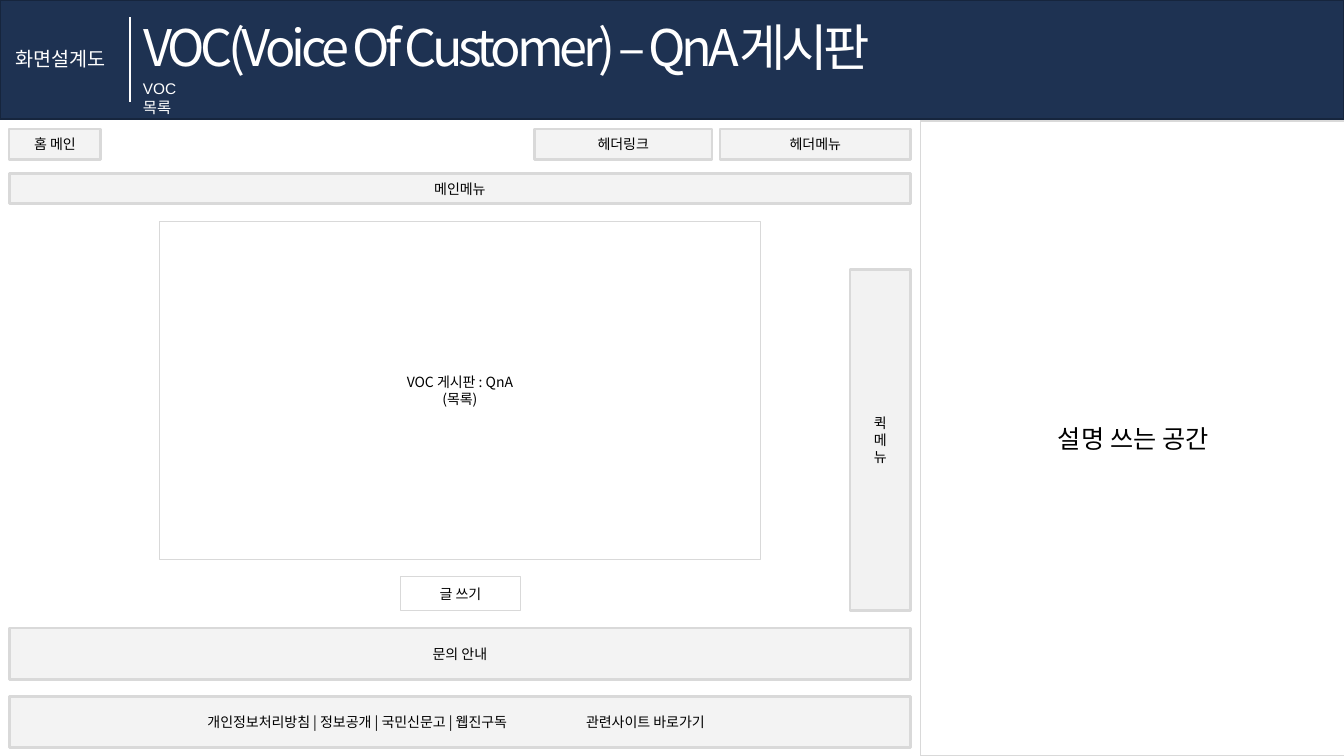
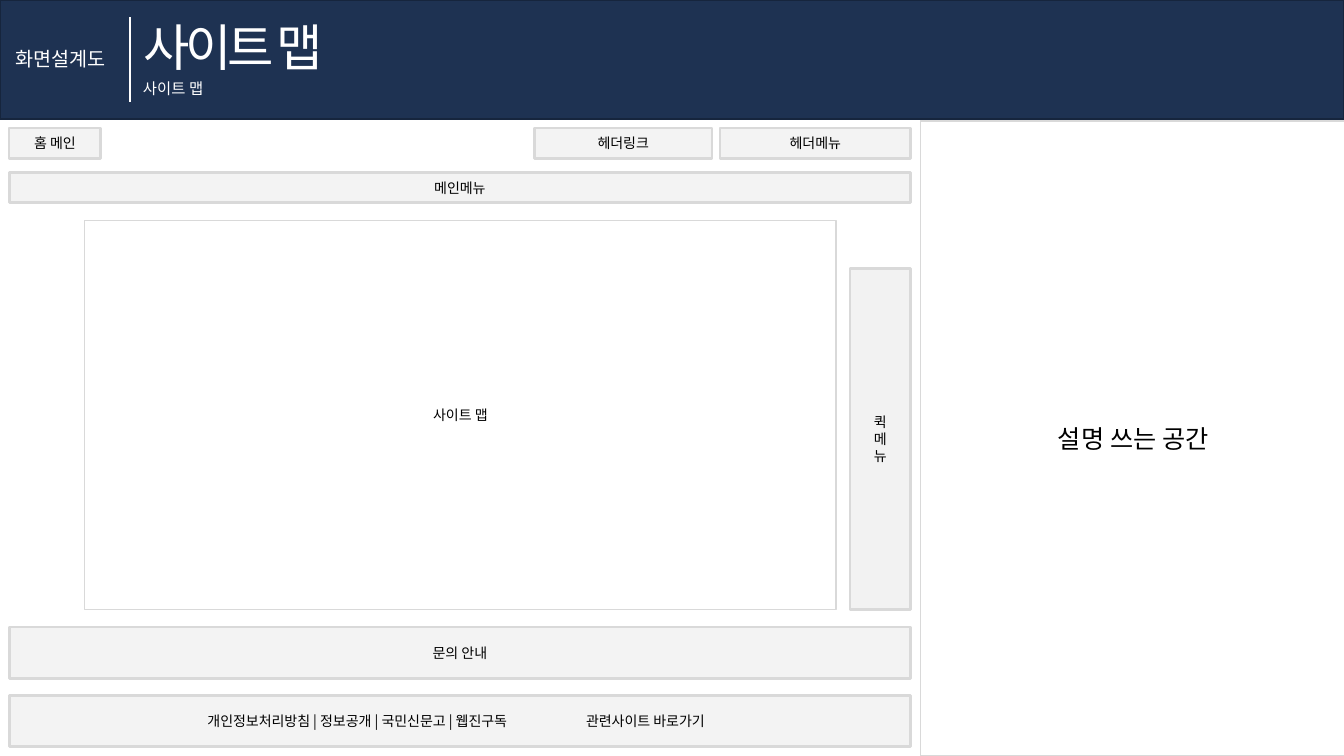
from lxml.etree import SubElement
from pptx import Presentation
from pptx.dml.color import RGBColor
from pptx.enum.shapes import MSO_CONNECTOR, MSO_SHAPE
from pptx.enum.text import MSO_ANCHOR, MSO_AUTO_SIZE, PP_ALIGN
from pptx.oxml.ns import qn
from pptx.util import Inches, Pt

WIDE, HIGH = Inches(13.33), Inches(7.5)
KOR, LATIN = "Noto Sans CJK KR", "Arial"
NAVY, EDGE, WHITE, BLACK = "1E3252", "16253D", "FFFFFF", "000000"
GRAY, DARK = "D9D9D9", "BFBFBF"


def color(code):
    return RGBColor.from_string(code)


def part(box, x, y, w, h):
    """Turn percent shares of a box into a box on the slide."""
    left, top, wide, high = box
    return (int(left + wide * x / 100), int(top + high * y / 100),
            int(wide * w / 100), int(high * h / 100))


FULL = (0, 0, WIDE, HIGH)
HEAD = part(FULL, 0, 0, 100, 15.73)
SIDE = part(FULL, 68.49, 16, 31.66, 84)


def write(shape, text, size=10, font=KOR, ink=BLACK, align=PP_ALIGN.CENTER,
          anchor=MSO_ANCHOR.MIDDLE, track=0, inset=None, tab=None):
    frame = shape.text_frame
    frame.word_wrap = True
    frame.auto_size = MSO_AUTO_SIZE.NONE
    frame.vertical_anchor = anchor
    if inset is not None:
        frame.margin_left = inset
    frame.text = text
    for para in frame.paragraphs:
        para.alignment = align
        if tab:
            stops = SubElement(para._p.get_or_add_pPr(), qn("a:tabLst"))
            SubElement(stops, qn("a:tab"), pos=str(tab), algn="l")
        for run in para.runs:
            run.font.size = Pt(size)
            run.font.name = font
            run.font.color.rgb = color(ink)
            props = run.font._element
            SubElement(props, qn("a:ea"), typeface=KOR)
            if track:
                props.set("spc", str(track * 100))


def panel(slide, box, text="", fill=WHITE, line=GRAY, width=1, alpha=None,
          **style):
    shape = slide.shapes.add_shape(MSO_SHAPE.RECTANGLE, *box)
    shape.shadow.inherit = False
    shape.fill.solid()
    shape.fill.fore_color.rgb = color(fill)
    if alpha:
        tint = shape.fill._xPr.find(".//" + qn("a:srgbClr"))
        SubElement(tint, qn("a:alpha"), val=str(alpha * 1000))
    shape.line.color.rgb = color(line)
    shape.line.width = Pt(width)
    if text:
        write(shape, text, **style)
    return shape


def header(slide, box, title, span, sub, room):
    plain = dict(ink=WHITE, align=PP_ALIGN.LEFT, anchor=MSO_ANCHOR.TOP)
    # Band behind the title
    band = panel(slide, box, fill=NAVY, line=EDGE)
    head = slide.shapes.title
    head.element.addprevious(band.element)
    head.left, head.top, head.width, head.height = part(
        box, 9.9, 9.32, span, 60.17)
    write(head, title, size=36, track=-3, **plain)
    # Label and subtitle
    tag = slide.shapes.add_textbox(*part(box, 0.38, 35.6, 8.85, 28.8))
    write(tag, "화면설계도", size=14, **plain)
    note = slide.shapes.add_textbox(*part(box, 9.9, 62.7, room, 24.6))
    write(note, sub, size=11, font=LATIN, **plain)
    # Divider
    x, y, _, h = part(box, 9.68, 14.4, 0, 71.2)
    rule = slide.shapes.add_connector(MSO_CONNECTOR.STRAIGHT, x, y, x, y + h)
    rule.line.color.rgb = color(WHITE)
    rule.line.width = Pt(1.5)
    SubElement(rule._element.spPr, qn("a:effectLst"))


def layout(slide, box, boards):
    soft = dict(fill=GRAY, alpha=30, width=2)
    # Menus and notice bar
    bars = [
        ("메인메뉴", 0, 7.17, 100, 4.89),
        ("홈 메인", 0, 0, 10.18, 4.89),
        ("헤더메뉴", 78.86, 0, 21.14, 4.89),
        ("헤더링크", 58.28, 0, 19.69, 4.89),
        ("문의 안내", 0, 80.62, 100, 8.31),
    ]
    for text, *spot in bars:
        panel(slide, part(box, *spot), text, **soft)
    # Footer links
    foot = part(box, 0, 91.69, 100, 8.31)
    panel(slide, foot,
          "개인정보처리방침 | 정보공개 | 국민신문고 | 웹진구독\t관련사이트 바로가기",
          align=PP_ALIGN.LEFT, inset=int(foot[2] * 0.22),
          tab=int(foot[2] * 0.42), **soft)
    # Quick menu
    panel(slide, part(box, 93.29, 22.64, 6.71, 55.21), "퀵\n메\n뉴",
          fill=DARK, alpha=20, width=2)
    # Content boards
    for text, *spot in boards:
        panel(slide, part(box, *spot), text)


def screen(deck, title, span, sub, room, top, boards):
    slide = deck.slides.add_slide(deck.slide_layouts[5])
    header(slide, HEAD, title, span, sub, room)
    panel(slide, SIDE, "설명 쓰는 공간", size=18)
    layout(slide, part(FULL, 0.68, top, 67.07, 81.87), boards)


def main():
    deck = Presentation()
    deck.slide_width, deck.slide_height = WIDE, HIGH
    screen(deck, "VOC(Voice Of Customer) – QnA게시판", 57.39,
           "VOC 목록", 5.5, 17.07,
           [("VOC 게시판 : QnA\n(목록)", 16.67, 14.98, 66.67, 54.56),
            ("글 쓰기", 43.4, 72.31, 13.31, 5.54)])
    screen(deck, "사이트 맵", 16.65, "사이트 맵", 6.6, 16.93,
           [("사이트 맵", 8.39, 14.98, 83.33, 62.87)])
    deck.save("out.pptx")


if __name__ == "__main__":
    main()
